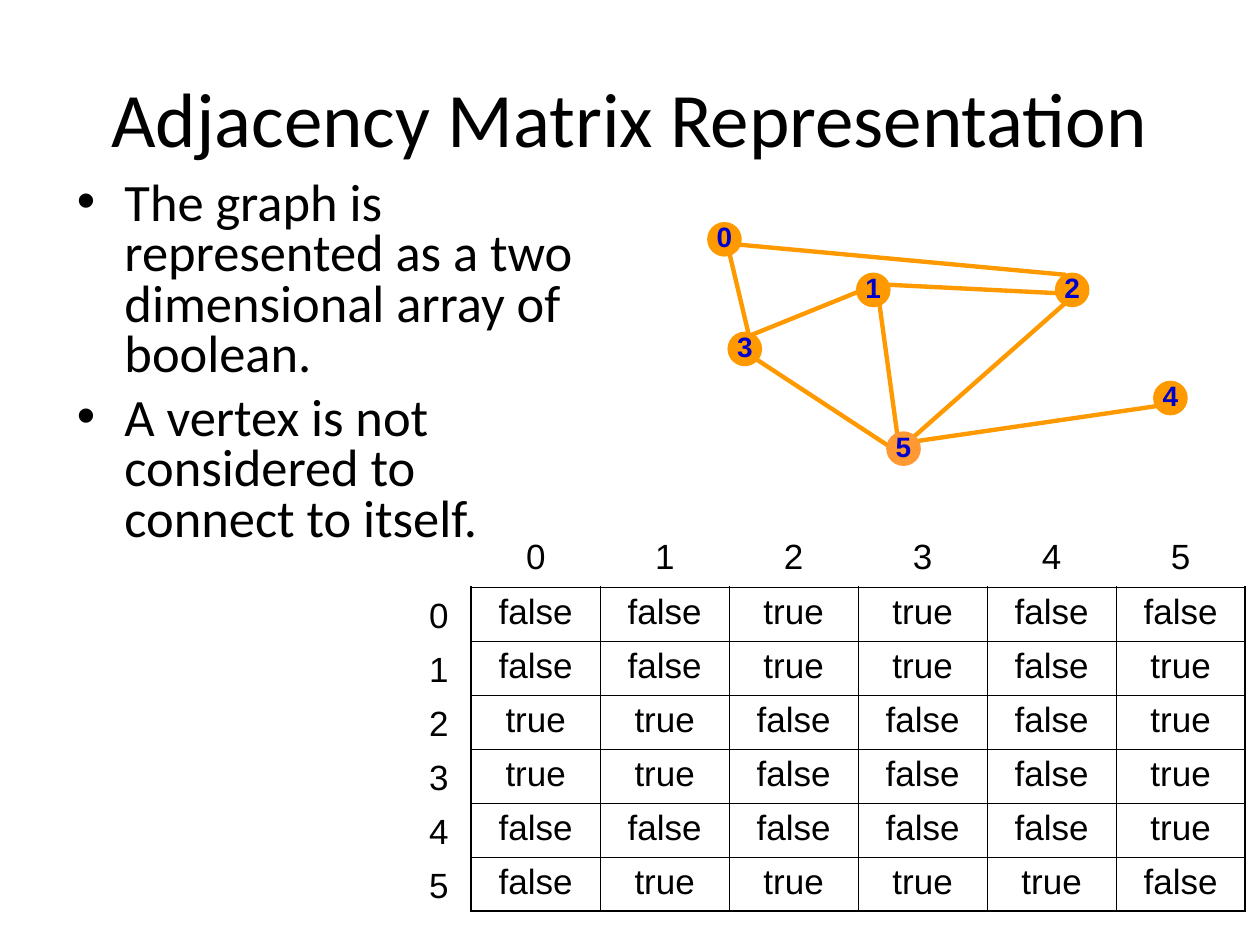
from dataclasses import dataclass

from lxml import etree
from pptx import Presentation
from pptx.dml.color import RGBColor
from pptx.enum.shapes import MSO_CONNECTOR, MSO_SHAPE
from pptx.enum.text import MSO_ANCHOR, PP_ALIGN
from pptx.oxml.ns import qn
from pptx.util import Cm, Pt

STRAIGHT = MSO_CONNECTOR.STRAIGHT
OVAL = MSO_SHAPE.OVAL
MIDDLE = MSO_ANCHOR.MIDDLE
CENTER = PP_ALIGN.CENTER

BLACK = "000000"
ORANGE = "FF9900"
LIGHT_ORANGE = "FF9933"
BLUE = "0000CC"
NODE_SIZE = 0.61
LINE_WIDTH = 2.5
INNER_BORDER = 0.45
OUTER_BORDER = 1.08
CELL_MARGIN = 0.12


@dataclass
class Vertex:
    number: int
    left: float
    top: float
    color: str = ORANGE


@dataclass
class Edge:
    vertices: tuple[int, int]
    start: tuple[float, float]
    end: tuple[float, float]


@dataclass
class Grid:
    rows: list[list[str]]
    left: float
    top: float
    column_width: float
    row_height: float
    bordered: bool = False


VERTICES = [
    Vertex(0, 14.3, 4.52),
    Vertex(1, 17.3, 5.54),
    Vertex(2, 21.31, 5.54),
    Vertex(3, 14.71, 6.73),
    Vertex(4, 23.29, 7.72),
    Vertex(5, 17.91, 8.74, LIGHT_ORANGE),
]
EDGES = [
    Edge((2, 5), (21.69, 5.92), (18.29, 8.92)),
    Edge((3, 5), (15.09, 7.14), (18.11, 9.12)),
    Edge((1, 5), (17.7, 5.92), (18.11, 8.92)),
    Edge((5, 4), (18.29, 8.92), (23.7, 8.13)),
    Edge((1, 2), (17.5, 5.72), (21.51, 5.92)),
    Edge((3, 1), (14.71, 6.93), (17.7, 5.72)),
    Edge((0, 2), (14.88, 4.93), (21.49, 5.54)),
    Edge((0, 3), (14.71, 5.13), (15.09, 6.73)),
]
BULLETS = [
    "The graph is represented as a two dimensional array of boolean.",
    "A vertex is not considered to connect to itself.",
]


def rgb(color: str) -> RGBColor:
    return RGBColor.from_string(color)


def style_font(paragraph, name: str, size: float, color: str = BLACK, bold: bool = False) -> None:
    font = paragraph.font
    font.name, font.size, font.bold = name, Pt(size), bold
    font.color.rgb = rgb(color)


def add_title(slide, text: str) -> None:
    frame = slide.shapes.add_textbox(Cm(1.27), Cm(0.76), Cm(22.86), Cm(3.18)).text_frame
    frame.word_wrap = True
    frame.vertical_anchor = MIDDLE
    paragraph = frame.paragraphs[0]
    paragraph.text = text
    paragraph.alignment = CENTER
    style_font(paragraph, "Calibri", 44)


def add_bullets(slide, texts: list[str]) -> None:
    frame = slide.shapes.add_textbox(Cm(1.3), Cm(3.53), Cm(11), Cm(8)).text_frame
    frame.word_wrap = True
    for index, text in enumerate(texts):
        paragraph = frame.add_paragraph() if index else frame.paragraphs[0]
        paragraph.text = text
        paragraph.line_spacing = 0.8
        paragraph.space_before = Pt(7.5)
        style_font(paragraph, "Calibri", 30)
        properties = paragraph._p.get_or_add_pPr()
        properties.set("marL", str(Cm(0.96)))
        properties.set("indent", str(-Cm(0.96)))
        bullet_font = etree.Element(qn("a:buFont"), typeface="Arial")
        bullet = etree.Element(qn("a:buChar"), char="•")
        defaults = properties.find(qn("a:defRPr"))
        defaults.addprevious(bullet_font)
        defaults.addprevious(bullet)


def add_edge(slide, edge: Edge) -> None:
    points = [Cm(value) for value in edge.start + edge.end]
    connector = slide.shapes.add_connector(STRAIGHT, *points)
    connector.line.color.rgb = rgb(ORANGE)
    connector.line.width = Pt(LINE_WIDTH)
    etree.SubElement(connector._element.spPr, qn("a:effectLst"))


def add_vertex(slide, vertex: Vertex) -> None:
    size = Cm(NODE_SIZE)
    shape = slide.shapes.add_shape(OVAL, Cm(vertex.left), Cm(vertex.top), size, size)
    shape.shadow.inherit = False
    shape.fill.solid()
    shape.fill.fore_color.rgb = rgb(vertex.color)
    shape.line.color.rgb = rgb(vertex.color)
    shape.line.width = Pt(LINE_WIDTH)
    frame = shape.text_frame
    frame.word_wrap = False
    frame.vertical_anchor = MIDDLE
    frame.margin_left = frame.margin_right = frame.margin_top = frame.margin_bottom = 0
    paragraph = frame.paragraphs[0]
    paragraph.text = str(vertex.number)
    paragraph.alignment = CENTER
    paragraph.line_spacing = 0.85
    style_font(paragraph, "Arial", 16, BLUE, True)


def add_border(cell, side: str, width: float) -> None:
    properties = cell._tc.get_or_add_tcPr()
    border = etree.SubElement(properties, qn(f"a:ln{side}"), w=str(Pt(width)))
    if width:
        fill = etree.SubElement(border, qn("a:solidFill"))
        etree.SubElement(fill, qn("a:srgbClr"), val=BLACK)
    else:
        etree.SubElement(border, qn("a:noFill"))


def add_grid(slide, grid: Grid) -> None:
    row_count, column_count = len(grid.rows), len(grid.rows[0])
    table = slide.shapes.add_table(
        row_count, column_count, Cm(grid.left), Cm(grid.top),
        Cm(grid.column_width * column_count), Cm(grid.row_height * row_count),
    ).table
    table.first_row = table.horz_banding = False
    for row, texts in enumerate(grid.rows):
        for column, text in enumerate(texts):
            cell = table.cell(row, column)
            cell.margin_top = cell.margin_bottom = Cm(CELL_MARGIN)
            outer_sides = {
                "L": column == 0,
                "R": column == column_count - 1,
                "T": row == 0,
                "B": row == row_count - 1,
            }
            for side, is_outer in outer_sides.items():
                width = OUTER_BORDER if is_outer else INNER_BORDER
                add_border(cell, side, width if grid.bordered else 0)
            cell.fill.background()
            paragraph = cell.text_frame.paragraphs[0]
            paragraph.text = text
            paragraph.alignment = CENTER
            style_font(paragraph, "Arial", 20)


def main() -> None:
    presentation = Presentation()
    presentation.slide_width, presentation.slide_height = Cm(25.4), Cm(19.05)
    slide = presentation.slides.add_slide(presentation.slide_layouts[6])

    add_title(slide, "Adjacency Matrix Representation")
    add_bullets(slide, BULLETS)
    for edge in EDGES:
        add_edge(slide, edge)
    for vertex in VERTICES:
        add_vertex(slide, vertex)

    numbers = [vertex.number for vertex in VERTICES]
    labels = [str(number) for number in numbers]
    connected = {frozenset(edge.vertices) for edge in EDGES}
    matrix = [
        [str(frozenset((row, column)) in connected).lower() for column in numbers]
        for row in numbers
    ]
    add_grid(slide, Grid(matrix, 9.5, 11.84, 2.6, 0.84, True))
    add_grid(slide, Grid([[label] for label in labels], 8.31, 11.91, 1.07, 0.84))
    add_grid(slide, Grid([labels], 9.5, 10.72, 2.6, 1.09))

    presentation.save("out.pptx")


if __name__ == "__main__":
    main()
